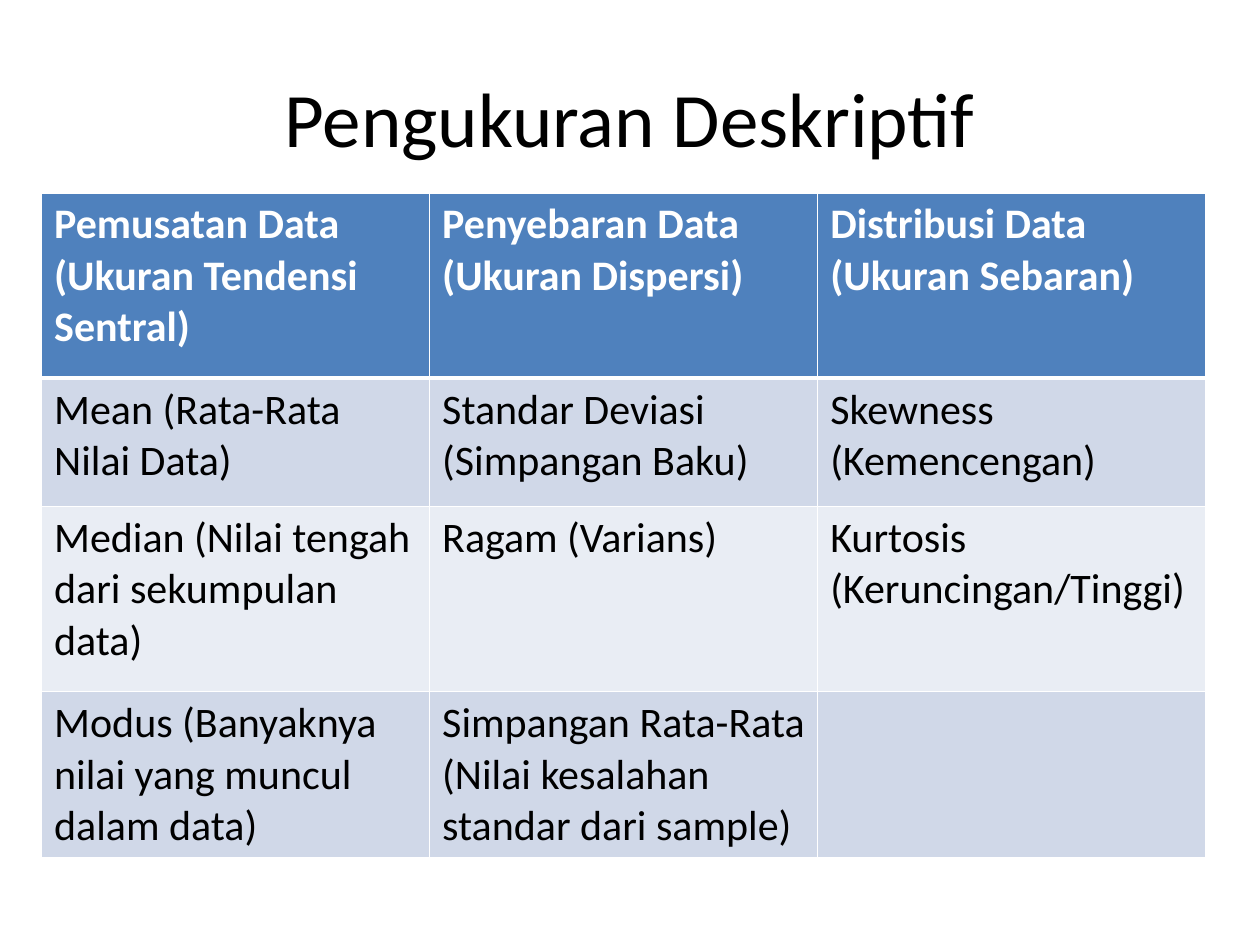
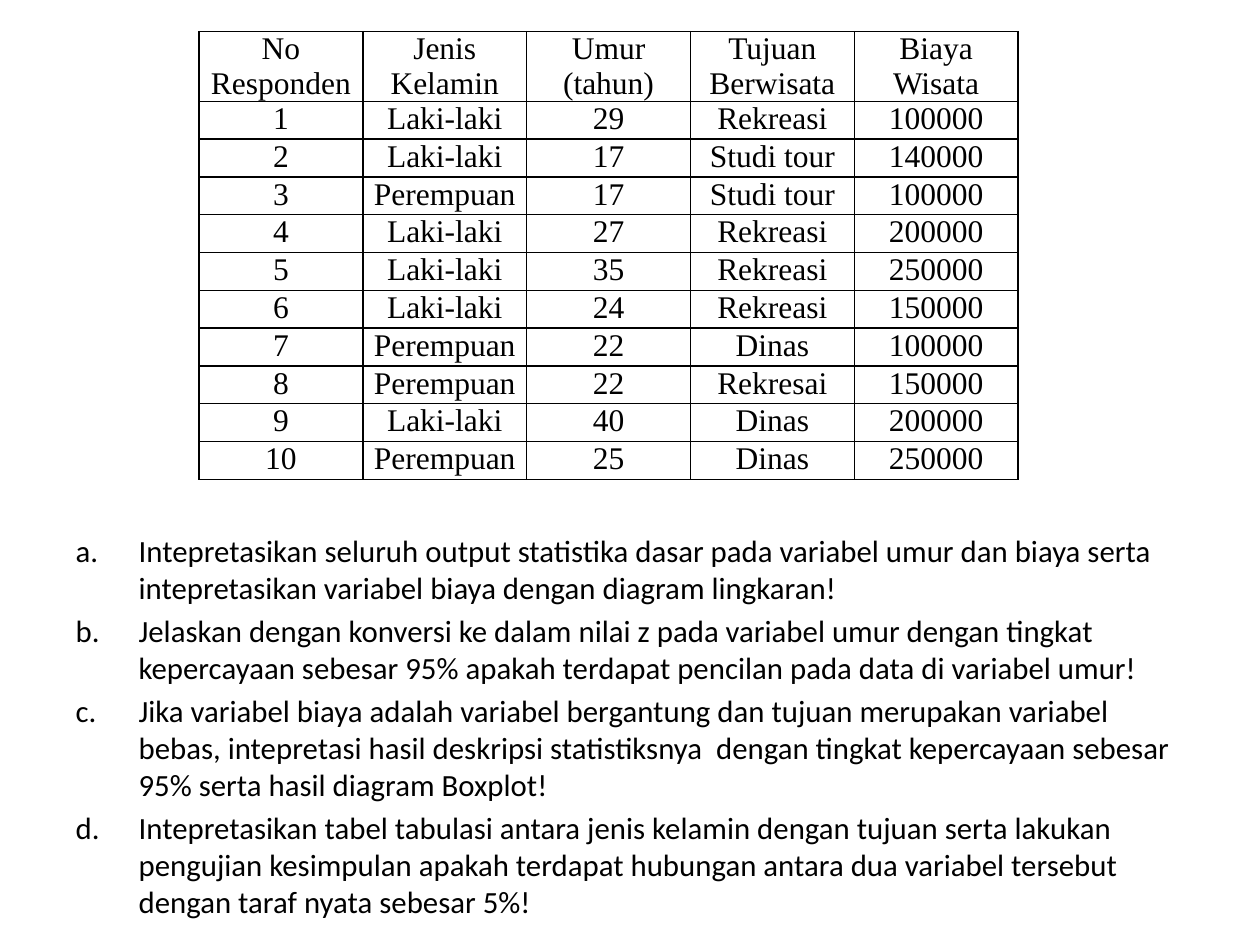
"""Two slides on descriptive statistics: an overview table and an exercise."""
from lxml import etree
from pptx import Presentation
from pptx.dml.color import RGBColor
from pptx.enum import text
from pptx.oxml import ns
from pptx.util import Inches, Pt

BLACK = RGBColor(0x00, 0x00, 0x00)
WHITE = RGBColor(0xFF, 0xFF, 0xFF)
HEADER_BLUE = RGBColor(0x4F, 0x81, 0xBD)
BAND_DARK = RGBColor(0xD0, 0xD8, 0xE8)
BAND_LIGHT = RGBColor(0xE9, 0xED, 0xF4)
SANS, SERIF = "Calibri", "Times New Roman"
LEFT, CENTER = text.PP_ALIGN.LEFT, text.PP_ALIGN.CENTER

MEASURES = [
    ["Pemusatan Data\n(Ukuran Tendensi Sentral)",
     "Penyebaran Data\n(Ukuran Dispersi)",
     "Distribusi Data\n(Ukuran Sebaran)"],
    ["Mean (Rata-Rata Nilai Data)",
     "Standar Deviasi (Simpangan Baku)",
     "Skewness (Kemencengan)"],
    ["Median (Nilai tengah dari sekumpulan data)",
     "Ragam (Varians)",
     "Kurtosis (Keruncingan/Tinggi)"],
    ["Modus (Banyaknya nilai yang muncul dalam data)",
     "Simpangan Rata-Rata (Nilai kesalahan standar dari sample)",
     ""],
]

SURVEY_HEADINGS = ["No Responden", "Jenis Kelamin", "Umur (tahun)",
                   "Tujuan Berwisata", "Biaya Wisata"]
RESPONDENTS = [
    ("Laki-laki", 29, "Rekreasi", 100000),
    ("Laki-laki", 17, "Studi tour", 140000),
    ("Perempuan", 17, "Studi tour", 100000),
    ("Laki-laki", 27, "Rekreasi", 200000),
    ("Laki-laki", 35, "Rekreasi", 250000),
    ("Laki-laki", 24, "Rekreasi", 150000),
    ("Perempuan", 22, "Dinas", 100000),
    ("Perempuan", 22, "Rekresai", 150000),
    ("Laki-laki", 40, "Dinas", 200000),
    ("Perempuan", 25, "Dinas", 250000),
]

QUESTIONS = [
    "Intepretasikan seluruh output statistika dasar pada variabel umur dan "
    "biaya serta intepretasikan variabel biaya dengan diagram lingkaran!",
    "Jelaskan dengan konversi ke dalam nilai z pada variabel umur dengan "
    "tingkat kepercayaan sebesar 95% apakah terdapat pencilan pada data di "
    "variabel umur!",
    "Jika variabel biaya adalah variabel bergantung dan tujuan merupakan "
    "variabel bebas, intepretasi hasil deskripsi statistiksnya  dengan "
    "tingkat kepercayaan sebesar 95% serta hasil diagram Boxplot!",
    "Intepretasikan tabel tabulasi antara jenis kelamin dengan tujuan serta "
    "lakukan pengujian kesimpulan apakah terdapat hubungan antara dua "
    "variabel tersebut dengan taraf nyata sebesar 5%!",
]


def place(shape, left, top, width, height):
    """Move and size a shape, in inches."""
    shape.left, shape.top = Inches(left), Inches(top)
    shape.width, shape.height = Inches(width), Inches(height)


def add_run(paragraph, words, size, font=SANS, color=BLACK, bold=False):
    """Add one formatted run to a paragraph."""
    run = paragraph.add_run()
    run.text = words
    run.font.size, run.font.name, run.font.bold = Pt(size), font, bold
    run.font.color.rgb = color


def fill_frame(frame, lines, align=LEFT, **style):
    """Write each line as its own paragraph and return the paragraphs."""
    for number, line in enumerate(lines):
        paragraph = frame.add_paragraph() if number else frame.paragraphs[0]
        paragraph.alignment = align
        if line:
            add_run(paragraph, line, **style)
    return frame.paragraphs


def set_borders(cell, color, bottom=1, top=1):
    """Draw the four borders of a cell, with widths in points."""
    properties = cell._tc.get_or_add_tcPr()
    widths = {"lnL": 1, "lnR": 1, "lnT": top, "lnB": bottom}
    for position, (side, width) in enumerate(widths.items()):
        line = etree.Element(ns.qn("a:" + side), w=str(Pt(width)))
        solid = etree.SubElement(line, ns.qn("a:solidFill"))
        etree.SubElement(solid, ns.qn("a:srgbClr"), val=str(color))
        properties.insert(position, line)


def add_grid(slide, left, top, col_width, row_heights, col_count):
    """Add a table with equal columns and the given row heights."""
    frame = slide.shapes.add_table(
        len(row_heights), col_count, Inches(left), Inches(top),
        Inches(col_width * col_count), Inches(sum(row_heights)))
    grid = frame.table
    for column in grid.columns:
        column.width = Inches(col_width)
    for row, height in zip(grid.rows, row_heights):
        row.height = Inches(height)
    return grid


def add_measures(slide):
    """Add the banded table of descriptive measures."""
    grid = add_grid(slide, 0.33, 1.53, 3.08, [1.47, 1.02, 1.47, 1.3], 3)
    bands = [HEADER_BLUE, BAND_DARK, BAND_LIGHT, BAND_DARK]
    for r, (measures, band) in enumerate(zip(MEASURES, bands)):
        header = r == 0
        for c, measure in enumerate(measures):
            cell = grid.cell(r, c)
            fill_frame(cell.text_frame, measure.split("\n"), size=24,
                       color=WHITE if header else BLACK, bold=header)
            set_borders(cell, WHITE, bottom=3 if header else 1,
                        top=3 if r == 1 else 1)
            cell.fill.solid()
            cell.fill.fore_color.rgb = band


def add_survey(slide):
    """Add the ruled table of survey answers, numbering the respondents."""
    rows = [SURVEY_HEADINGS]
    rows += [(n, *answers) for n, answers in enumerate(RESPONDENTS, 1)]
    heights = [0.55] + [0.3] * len(RESPONDENTS)
    grid = add_grid(slide, 1.58, 0.25, 1.3, heights, len(SURVEY_HEADINGS))
    for r, answers in enumerate(rows):
        for c, answer in enumerate(answers):
            cell = grid.cell(r, c)
            cell.margin_left = cell.margin_right = Inches(0.07)
            cell.margin_top = cell.margin_bottom = 0
            fill_frame(cell.text_frame, [str(answer)], CENTER,
                       size=18, font=SERIF)
            set_borders(cell, BLACK)
            cell.fill.background()


def set_title(slide, words):
    """Write the slide title, centred."""
    title = slide.shapes.title
    place(title, 0.5, 0.3, 9, 1.25)
    title.text_frame.vertical_anchor = text.MSO_ANCHOR.MIDDLE
    fill_frame(title.text_frame, [words], CENTER, size=44)


def set_questions(slide):
    """Write the lettered questions into the body placeholder."""
    body = slide.placeholders[1]
    place(body, 0.5, 4.17, 9, 3.17)
    body.text_frame.auto_size = text.MSO_AUTO_SIZE.NONE
    for question in fill_frame(body.text_frame, QUESTIONS, size=17.6):
        question.space_before = Pt(3.5)
        properties = question._p.get_or_add_pPr()
        properties.set("marL", str(Inches(0.5)))
        properties.set("indent", str(-Inches(0.5)))
        etree.SubElement(properties, ns.qn("a:buFont"), typeface="+mj-lt")
        etree.SubElement(properties, ns.qn("a:buAutoNum"),
                         type="alphaLcPeriod")


def main():
    """Build both slides and save the deck."""
    deck = Presentation()
    deck.slide_width, deck.slide_height = Inches(10), Inches(7.5)

    overview = deck.slides.add_slide(deck.slide_layouts[5])
    set_title(overview, "Pengukuran Deskriptif")
    add_measures(overview)

    exercise = deck.slides.add_slide(deck.slide_layouts[1])
    unused_title = exercise.shapes.title.element
    unused_title.getparent().remove(unused_title)
    add_survey(exercise)
    set_questions(exercise)

    deck.save("out.pptx")


main()
